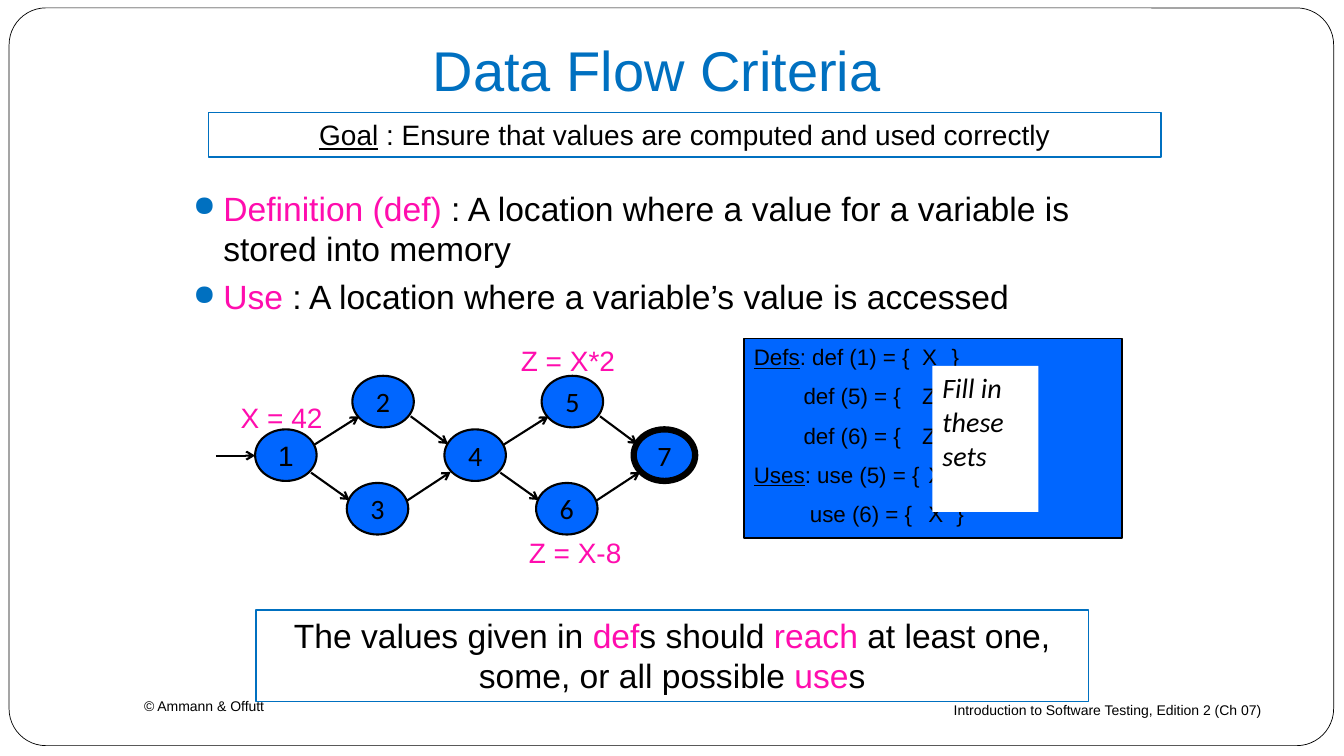
import lxml.etree
import pptx
import pptx.dml.color
import pptx.enum.shapes
import pptx.enum.text
import pptx.oxml.ns
import pptx.util

Cm = pptx.util.Cm
Pt = pptx.util.Pt
ALIGN = pptx.enum.text.PP_ALIGN
ANCHOR = pptx.enum.text.MSO_ANCHOR
SHAPE = pptx.enum.shapes.MSO_SHAPE
BLACK, WHITE, BLUE, PINK, NODE_BLUE = "000000", "FFFFFF", "0070C0", "FF0DAE", "0066FF"
UNDERLINED = {"underline": True}
PINK_RUN = {"color": PINK}


def color(hex_code):
    return pptx.dml.color.RGBColor.from_string(hex_code)


def apply(target, formats):
    for name, value in formats.items():
        setattr(target, name, value)


def add_xml(parent, tag, **attributes):
    return lxml.etree.SubElement(parent, pptx.oxml.ns.qn(tag), attributes)


def write(shape, paragraphs, size, font="Arial", ink=BLACK, frame=None, layout=None, gap=0):
    text_frame = shape.text_frame
    apply(text_frame, {"word_wrap": True, "vertical_anchor": ANCHOR.TOP, **(frame or {})})
    for index, runs in enumerate(paragraphs):
        paragraph = text_frame.paragraphs[0] if index == 0 else text_frame.add_paragraph()
        apply(paragraph, {"alignment": ALIGN.LEFT, "space_before": Pt(gap if index else 0), **(layout or {})})
        for words, formats in runs:
            run = paragraph.add_run()
            run.text = words
            style = {"name": font, "size": Pt(size), **formats}
            run.font.color.rgb = color(style.pop("color", ink))
            apply(run.font, style)
    return text_frame.paragraphs


def add_text(slide, box, paragraphs, size, **options):
    return write(slide.shapes.add_textbox(*map(Cm, box)), paragraphs, size, **options)


def add_panel(slide, box, fill, line=None, width=1, kind=SHAPE.RECTANGLE):
    panel = slide.shapes.add_shape(kind, *map(Cm, box))
    panel.shadow.inherit = False
    panel.fill.solid()
    panel.fill.fore_color.rgb = color(fill)
    if line:
        panel.line.color.rgb = color(line)
        panel.line.width = Pt(width)
    else:
        panel.line.fill.background()
    return panel


def add_frame(slide, box):
    frame = add_panel(slide, box, WHITE, BLACK, 0.5, SHAPE.ROUNDED_RECTANGLE)
    frame.adjustments[0] = 0.05


def add_footer(slide, box):
    left, top, width, height = box
    middle = {"vertical_anchor": ANCHOR.MIDDLE}
    add_text(slide, (left, top, 14.68, height), [[("© Ammann & Offutt", {})]], 10, frame=middle)
    add_text(slide, (left + width - 9.17, top + 0.08, 9.17, height),
             [[("Introduction to Software Testing, Edition 2 (Ch 07)", {})]], 10,
             frame=middle, layout={"alignment": ALIGN.RIGHT})


def add_title(slide, box):
    add_text(slide, box, [[("Data Flow Criteria", {})]], 40, ink=BLUE,
             frame={"vertical_anchor": ANCHOR.BOTTOM, "margin_bottom": Cm(0.25)},
             layout={"alignment": ALIGN.CENTER})


def add_statement(slide, box, runs, size):
    write(add_panel(slide, box, WHITE, BLUE), [runs], size, layout={"alignment": ALIGN.CENTER})


def add_definitions(slide, box):
    definitions = [
        [("Definition (def)", PINK_RUN),
         (" : A location where a value for a variable is stored into memory", {})],
        [("Use ", PINK_RUN), (": A location where a variable’s value is accessed", {})],
    ]
    for paragraph in add_text(slide, box, definitions, 24, gap=5.8):
        properties = paragraph._p.get_or_add_pPr()
        properties.set("marL", str(Cm(0.76)))
        properties.set("indent", str(-Cm(0.76)))
        add_xml(add_xml(properties, "a:buClr"), "a:srgbClr", val=BLUE)
        add_xml(properties, "a:buSzPct", val="85000")
        add_xml(properties, "a:buChar", char="●")


def add_node(slide, left, top, number, font="Calibri", width=1.5):
    node = add_panel(slide, (left, top, 1.55, 1.3), NODE_BLUE, BLACK, width, SHAPE.OVAL)
    margins = dict.fromkeys(("margin_left", "margin_right", "margin_top", "margin_bottom"), 0)
    write(node, [[(number, {})]], 20, font=font, layout={"alignment": ALIGN.CENTER},
          frame={"vertical_anchor": ANCHOR.MIDDLE, "word_wrap": False, **margins})


def add_edge(slide, left, top, start, end):
    edge = slide.shapes.add_connector(
        pptx.enum.shapes.MSO_CONNECTOR.STRAIGHT,
        Cm(left + start[0]), Cm(top + start[1]), Cm(left + end[0]), Cm(top + end[1]))
    edge.line.color.rgb = color(BLACK)
    edge.line.width = Pt(1.5)
    add_xml(edge.line._get_or_add_ln(), "a:tailEnd", type="arrow")
    add_xml(edge._element.spPr, "a:effectLst")


def add_flow_graph(slide, box):
    left, top = box[:2]
    first, middle, pitch = left + 0.99, top + 2.29, 4.77
    diamond_edges = [
        ((1.5, 0.38), (2.62, -0.33)),
        ((1.41, 1.09), (2.38, 1.78)),
        ((3.92, -0.33), (4.86, 0.37)),
        ((3.82, 1.8), (4.93, 1.07)),
    ]
    for step, (fork, upper, lower) in enumerate(("123", "456")):
        fork_left = first + step * pitch
        add_node(slide, fork_left, middle, fork, font="Calibri" if step else "Arial")
        add_node(slide, fork_left + 2.45, middle - 1.35, upper)
        add_node(slide, fork_left + 2.31, middle + 1.35, lower)
    add_node(slide, first + 2 * pitch, middle, "7", width=4.5)
    for step in range(2):
        for start, end in diamond_edges:
            add_edge(slide, first + step * pitch, middle, start, end)
    add_edge(slide, left, top, (0, 2.95), (0.99, 2.95))
    for words, x, y, width in (("X = 42", 0.15, 1.45, 3.02),
                               ("Z = X-8", 7.44, 4.83, 3.23),
                               ("Z = X*2", 7.21, 0, 3.33)):
        add_text(slide, (left + x, top + y, width, 1.12), [[(words, {})]], 20,
                 ink=PINK, layout={"alignment": ALIGN.CENTER})


def add_def_use_sets(slide, box):
    left, top, _, height = box
    set_lines = [
        [("Defs", UNDERLINED), (": def (1) = {\t}", {})],
        [("\tdef (5) = {\t}", {})],
        [("\tdef (6) = {\t}", {})],
        [("Uses", UNDERLINED), (": use (5) = {\t}", {})],
        [("\tuse (6) = {\t}", {})],
    ]
    tab_stops = [(1.25, 4.98)] * 3 + [(1.41, 5.1)] * 2
    panel = add_panel(slide, box, NODE_BLUE, BLACK)
    for paragraph, stops in zip(write(panel, set_lines, 16, gap=8.8), tab_stops):
        tabs = add_xml(paragraph._p.get_or_add_pPr(), "a:tabLst")
        for stop in stops:
            add_xml(tabs, "a:tab", pos=str(Cm(stop)), algn="l")
    members = add_text(slide, (left + 4.24, top, 1.8, height),
                       [[(variable, {})] for variable in "XZZXX"], 16, gap=8.8)
    for used in members[3:]:
        used._p.get_or_add_pPr().set("marL", str(Cm(0.16)))
    cover = add_panel(slide, (left + 4.75, top + 0.69, 2.67, 3.68), WHITE)
    write(cover, [[("Fill in these sets", {"italic": True})]], 20, font="Calibri")


def main():
    deck = pptx.Presentation()
    apply(deck, {"slide_width": Cm(33.87), "slide_height": Cm(19.05)})
    slide = deck.slides.add_slide(deck.slide_layouts[6])
    add_frame(slide, (0.23, 0.2, 33.38, 18.59))
    add_footer(slide, (3.38, 17.15, 28.65, 1.3))
    add_title(slide, (2.16, -0.33, 28.78, 3.18))
    add_definitions(slide, (4.62, 4.6, 24.64, 3.78))
    add_statement(slide, (5.26, 2.84, 24, 1.12), [
        ("Goal", UNDERLINED),
        (" : Ensure that values are computed and used correctly", {}),
    ], 20)
    add_flow_graph(slide, (5.44, 8.53, 12.07, 5.95))
    add_def_use_sets(slide, (18.75, 8.53, 9.53, 5.03))
    add_statement(slide, (6.45, 15.37, 20.98, 2.31), [
        ("The values given in ", {}), ("def", PINK_RUN), ("s should ", {}),
        ("reach", PINK_RUN), (" at least one, some, or all possible ", {}),
        ("use", PINK_RUN), ("s", {}),
    ], 24)
    deck.save("out.pptx")


if __name__ == "__main__":
    main()
